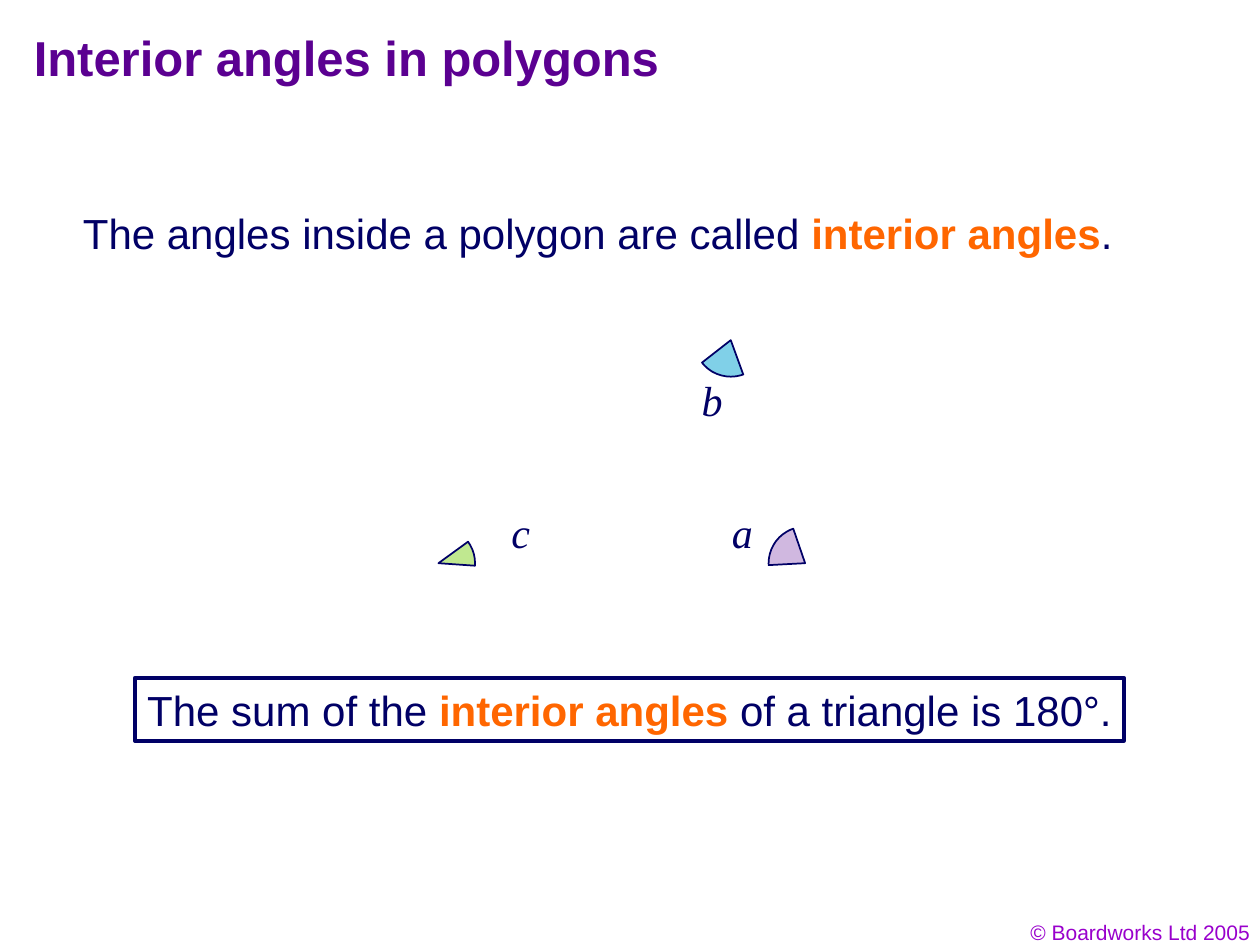
from pptx import Presentation
from pptx.dml.color import RGBColor
from pptx.enum import shapes, text
from pptx.util import Inches, Pt

COLORS = {
    "title": "5B0091", "body": "010066", "accent": "FF6600",
    "outline": "000066", "copyright": "9900CC",
    "a": "D0B8E0", "b": "80D0E8", "c": "C0E890",
}
RADIUS = 0.29

# name: vertex x, y; start and end in degrees clockwise from east; label x, y
ANGLES = {
    "b": (5.8, 2.7, 70, 142, 5.47, 2.92),
    "a": (6.39, 4.47, 177, 251, 5.71, 3.97),
    "c": (3.48, 4.47, 324, 4, 3.96, 3.97),
}


def color(name):
    return RGBColor.from_string(COLORS[name])


def outline(s, width):
    s.line.color.rgb = color("outline")
    s.line.width = Pt(width)
    s.shadow.inherit = False


def write(s, runs, size=24, font="Arial", align=text.PP_ALIGN.LEFT,
          bold=None, italic=None, wrap=False):
    """Fill a shape with one paragraph of (wording, colour name) runs."""
    tf = s.text_frame
    tf.word_wrap = wrap
    tf.vertical_anchor = text.MSO_ANCHOR.TOP
    p = tf.paragraphs[0]
    p.alignment = align
    for wording, name in runs:
        r = p.add_run()
        r.text = wording
        r.font.color.rgb = color(name)
        if name == "accent":
            r.font.bold = True
    p.font.size = Pt(size)
    p.font.name = font
    p.font.bold = bold
    p.font.italic = italic


def add_text(slide, x, y, w, h, runs, **style):
    s = slide.shapes.add_textbox(Inches(x), Inches(y), Inches(w), Inches(h))
    write(s, runs, **style)


def add_framed_text(slide, x, y, w, h, runs):
    s = slide.shapes.add_shape(shapes.MSO_SHAPE.RECTANGLE, Inches(x), Inches(y),
                               Inches(w), Inches(h))
    s.fill.background()
    outline(s, 2.25)
    write(s, runs)


def add_angle(slide, name, x, y, start, end, label_x, label_y):
    """Draw an angle as a pie sector around its vertex, with its letter."""
    s = slide.shapes.add_shape(shapes.MSO_SHAPE.PIE, Inches(x - RADIUS), Inches(y - RADIUS),
                               Inches(2 * RADIUS), Inches(2 * RADIUS))
    for i, degrees in enumerate((start, end)):
        s.adjustments[i] = degrees * 0.6  # 60000 units a degree, scaled by 100000
    s.fill.solid()
    s.fill.fore_color.rgb = color(name)
    outline(s, 1)
    add_text(slide, label_x, label_y, 0.36, 0.5, [(name, "body")],
             font="Times New Roman", italic=True)


def main():
    prs = Presentation()
    prs.slide_width, prs.slide_height = Inches(10), Inches(7.5)
    slide = prs.slides.add_slide(prs.slide_layouts[6])

    add_text(slide, 7.69, 7.25, 2.33, 0.3, [("© Boardworks Ltd 2005", "copyright")],
             size=12, align=text.PP_ALIGN.RIGHT, wrap=True)
    add_text(slide, 0.17, 0.17, 8.5, 0.67, [("Interior angles in polygons", "title")],
             size=28, bold=True, wrap=True)
    for name, geometry in ANGLES.items():
        add_angle(slide, name, *geometry)
    add_text(slide, 0.56, 1.6, 8.37, 0.5, [
        ("The angles inside a polygon are called ", "body"),
        ("interior angles", "accent"), (".", "body")])
    add_framed_text(slide, 1.07, 5.38, 7.85, 0.5, [
        ("The sum of the ", "body"), ("interior angles", "accent"),
        (" of a triangle is 180°.", "body")])

    prs.save("out.pptx")


if __name__ == "__main__":
    main()
